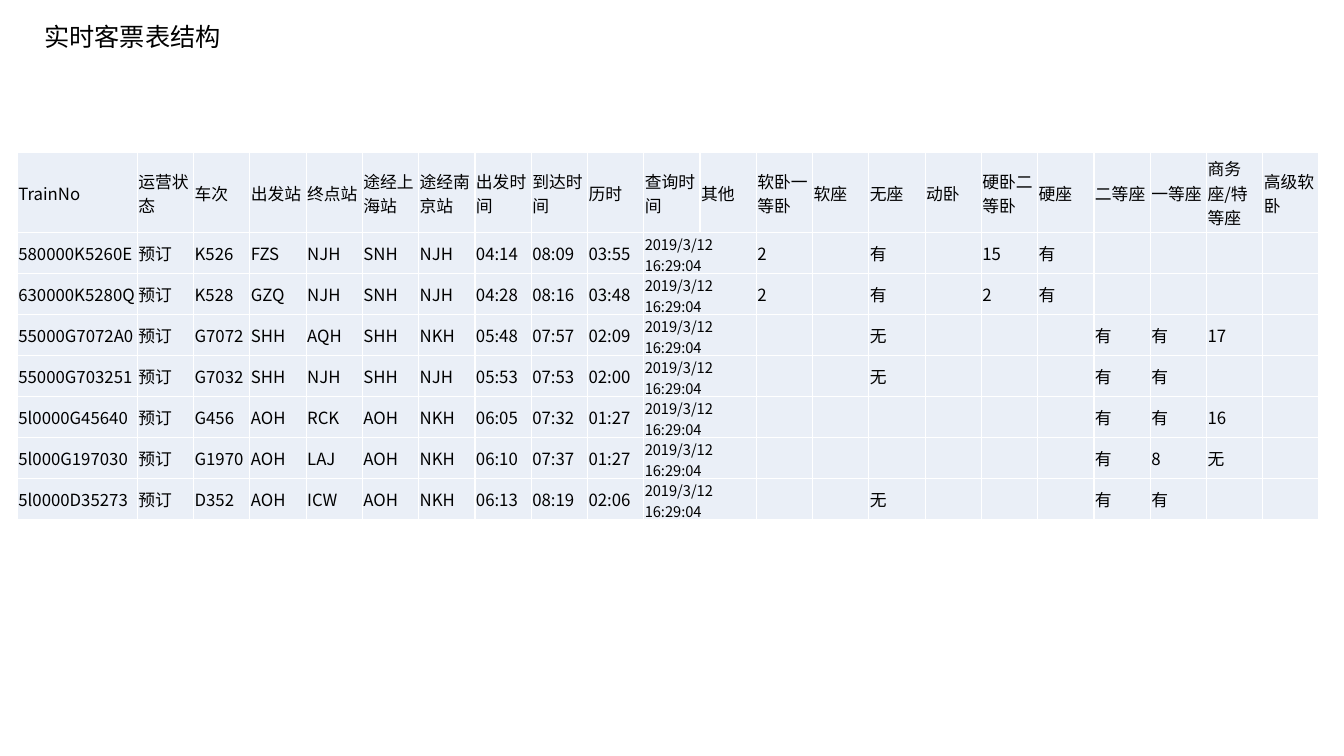
from lxml import etree
from pptx import Presentation
from pptx.dml.color import RGBColor
from pptx.enum.text import MSO_ANCHOR, MSO_AUTO_SIZE
from pptx.oxml import parse_xml
from pptx.oxml.ns import nsdecls, qn
from pptx.util import Pt

MIDDLE = MSO_ANCHOR.MIDDLE
GROW = MSO_AUTO_SIZE.SHAPE_TO_FIT_TEXT
FONT = "Noto Sans CJK SC"
COLORS = {"text": "000000", "cell": "EAEFF7", "border": "FFFFFF"}
CELL_FORMAT = {
    "vertical_anchor": MIDDLE,
    "margin_left": Pt(0.75),
    "margin_right": Pt(0.75),
    "margin_top": Pt(0.75),
    "margin_bottom": Pt(0),
}

QUERY_COL = 10
QUERY_TIME = "2019/3/12 16:29:04"
HEADERS = (
    "TrainNo,运营状态,车次,出发站,终点站,途经上海站,途经南京站,出发时间,到达时间,历时,查询时间,"
    "其他,软卧一等卧,软座,无座,动卧,硬卧二等卧,硬座,二等座,一等座,商务座/特等座,高级软卧"
).split(",")
TRAINS = [
    ("580000K5260E 预订 K526 FZS NJH SNH NJH 04:14 08:09 03:55",
     {"软卧一等卧": "2", "无座": "有", "硬卧二等卧": "15", "硬座": "有"}),
    ("630000K5280Q 预订 K528 GZQ NJH SNH NJH 04:28 08:16 03:48",
     {"软卧一等卧": "2", "无座": "有", "硬卧二等卧": "2", "硬座": "有"}),
    ("55000G7072A0 预订 G7072 SHH AQH SHH NKH 05:48 07:57 02:09",
     {"无座": "无", "二等座": "有", "一等座": "有", "商务座/特等座": "17"}),
    ("55000G703251 预订 G7032 SHH NJH SHH NJH 05:53 07:53 02:00",
     {"无座": "无", "二等座": "有", "一等座": "有"}),
    ("5l0000G45640 预订 G456 AOH RCK AOH NKH 06:05 07:32 01:27",
     {"二等座": "有", "一等座": "有", "商务座/特等座": "16"}),
    ("5l000G197030 预订 G1970 AOH LAJ AOH NKH 06:10 07:37 01:27",
     {"二等座": "有", "一等座": "8", "商务座/特等座": "无"}),
    ("5l0000D35273 预订 D352 AOH ICW AOH NKH 06:13 08:19 02:06",
     {"无座": "无", "二等座": "有", "一等座": "有"}),
]


def write(tf, text, size):
    r = tf.paragraphs[0].add_run()
    r.text = text
    for name, value in {"name": FONT, "size": Pt(size), "bold": False}.items():
        setattr(r.font, name, value)
    r.font.color.rgb = RGBColor.from_string(COLORS["text"])
    ea = etree.SubElement(r.font._element, qn("a:ea"))
    ea.set("typeface", FONT)


def add_title(s, text, x, y, w, h):
    tf = s.shapes.add_textbox(Pt(x), Pt(y), Pt(w), Pt(h)).text_frame
    tf.word_wrap = True
    tf.auto_size = GROW
    write(tf, text, 18)


def format_cell(cell):
    for name, value in CELL_FORMAT.items():
        setattr(cell, name, value)
    cell.fill.solid()
    cell.fill.fore_color.rgb = RGBColor.from_string(COLORS["cell"])
    tcPr = cell._tc.get_or_add_tcPr()
    for i, side in enumerate("LRTB"):
        tcPr.insert(i, parse_xml(
            f'<a:ln{side} {nsdecls("a")} w="{Pt(1)}"><a:solidFill>'
            f'<a:srgbClr val="{COLORS["border"]}"/></a:solidFill></a:ln{side}>'))


def add_ticket_table(s, x, y, w, h, first_w=85.7, header_h=57.1):
    rows = [HEADERS]
    for journey, seats in TRAINS:
        values = journey.split() + [QUERY_TIME]
        rows.append(values + [seats.get(name, "") for name in HEADERS[len(values):]])
    n_rows, n_cols = len(rows), len(HEADERS)
    table = s.shapes.add_table(n_rows, n_cols, Pt(x), Pt(y), Pt(w), Pt(h)).table
    table.first_row = False
    table.horz_banding = False
    for j, col in enumerate(table.columns):
        col.width = Pt((w - first_w) / (n_cols - 1) if j else first_w)
    for i, row in enumerate(table.rows):
        row.height = Pt((h - header_h) / (n_rows - 1) if i else header_h)
        for j, text in enumerate(rows[i]):
            cell = table.cell(i, j)
            format_cell(cell)
            if text:
                write(cell.text_frame, text, 10.5 if text == QUERY_TIME else 12)
        if i:
            table.cell(i, QUERY_COL).merge(table.cell(i, QUERY_COL + 1))


def main():
    prs = Presentation()
    prs.slide_width, prs.slide_height = Pt(960), Pt(540)
    s = prs.slides.add_slide(prs.slide_layouts[6])
    add_title(s, "实时客票表结构", 24.5, 11.5, 223, 29)
    add_ticket_table(s, 12.4, 108.9, 930, 262.2)
    prs.save("out.pptx")


if __name__ == "__main__":
    main()
